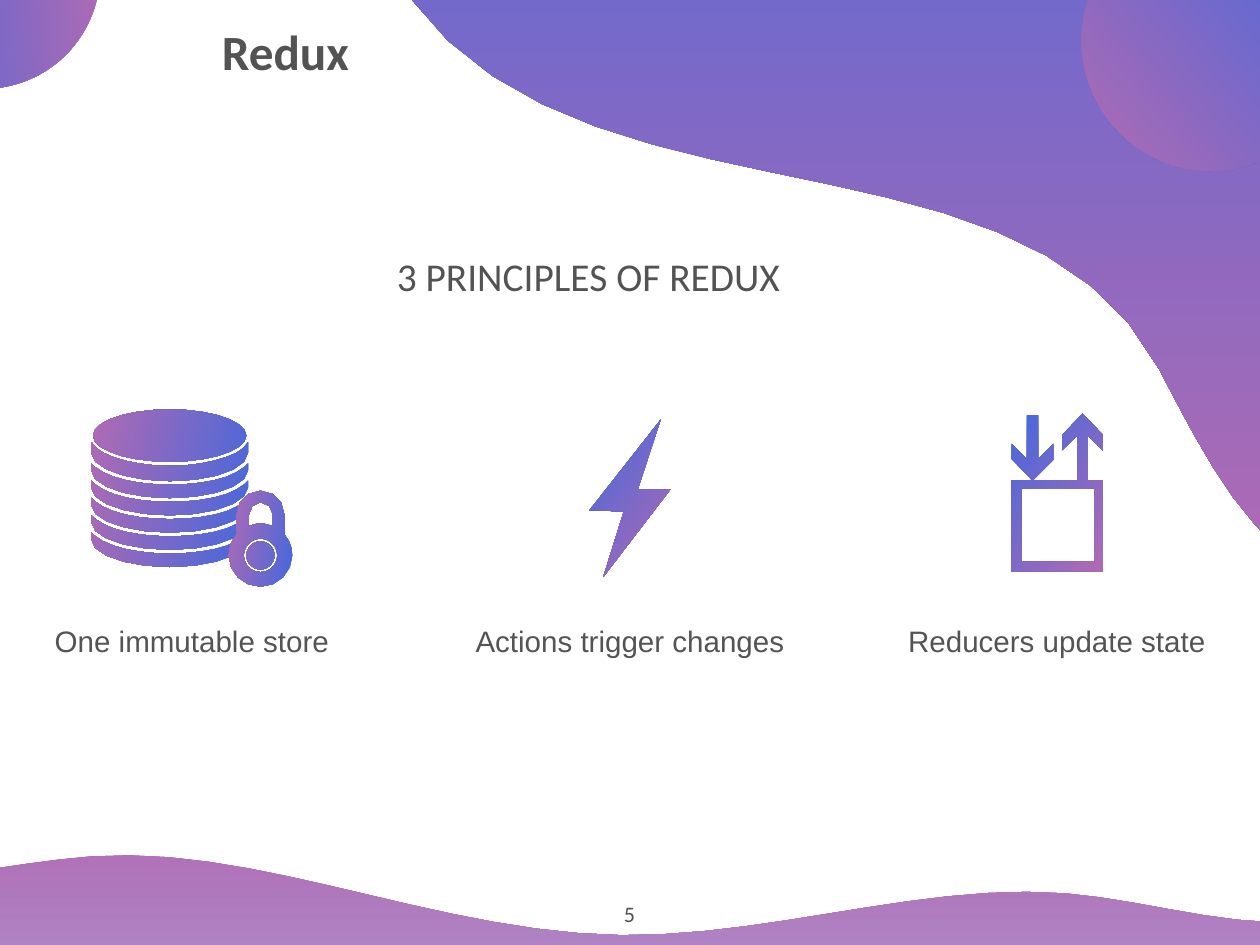
"""Build the slide on the three principles of Redux."""
from dataclasses import dataclass
from math import cos, dist, sin, sqrt, tau

from pptx import Presentation
from pptx.dml.color import RGBColor
from pptx.enum.shapes import MSO_SHAPE
from pptx.enum.text import MSO_ANCHOR, MSO_AUTO_SIZE, PP_ALIGN
from pptx.util import Pt

COLORS = {"blue": "4568DC", "purple": "B06AB3", "pale": "ACB6E5",
          "heading": "535353", "caption": "545454"}
MOST_STEPS = 16
RING_CORNERS = 28
INSET = 4.5

Point = tuple[float, float]
Contour = list[Point]


@dataclass(frozen=True)
class Gradient:
    """A two-colour linear gradient with a clockwise angle."""
    angle: float
    start: str = "blue"
    end: str = "purple"


@dataclass(frozen=True)
class Outline:
    """A filled figure made of closed contours."""
    contours: list[Contour]
    gradient: Gradient


@dataclass(frozen=True)
class Disc:
    """A decorative ellipse at a corner of the slide."""
    left: float
    top: float
    width: float
    height: float
    gradient: Gradient


@dataclass(frozen=True)
class Label:
    """A text box with its place and format."""
    text: str
    left: float
    top: float
    width: float
    height: float
    size: float = 24
    font: str = "Arial"
    color: str = "caption"
    align: PP_ALIGN = PP_ALIGN.LEFT
    anchor: MSO_ANCHOR = MSO_ANCHOR.MIDDLE
    spacing: float | Pt | None = None


def bezier(start: Point, first: Point, second: Point, end: Point) -> Contour:
    """Return points along a cubic curve, more of them on a longer one."""
    steps = min(MOST_STEPS, max(1, round(0.6 * sqrt(dist(start, end)))))
    corners = (start, first, second, end)
    points = []
    for step in range(1, steps + 1):
        t = step / steps
        weights = ((1 - t) ** 3, 3 * t * (1 - t) ** 2, 3 * t * t * (1 - t), t ** 3)
        points.append(tuple(sum(weight * corner[axis] for weight, corner in zip(weights, corners))
                            for axis in (0, 1)))
    return points


def trace(drawing: str, shift: float = 0) -> Contour:
    """Turn 'x,y' corners and 'C' curves into one contour, moved down by shift."""
    tokens = drawing.split()
    contour: Contour = []
    position = 0

    def read(index: int) -> Point:
        x, y = tokens[index].split(",")
        return float(x), float(y) + shift

    while position < len(tokens):
        if tokens[position] == "C":
            controls = [read(position + offset) for offset in (1, 2, 3)]
            contour += bezier(contour[-1], *controls)
            position += 4
        else:
            contour.append(read(position))
            position += 1
    return contour


def ring(x: float, y: float, radius_x: float, radius_y: float) -> Contour:
    """Return the contour of an ellipse around a centre."""
    angles = [tau * corner / RING_CORNERS for corner in range(RING_CORNERS)]
    return [(x + radius_x * cos(angle), y + radius_y * sin(angle)) for angle in angles]


TOP_WAVE = """1467,81 C 1577,204 1567,361 1467,359 C 1445,359 1428,347 1410,337
C 1352,305 1287,280 1222,294 C 1174,305 1133,342 1141,387 C 1145,409 1163,428 1156,450
C 1150,467 1131,474 1113,474 C 1029,474 983,378 942,300 C 826,79 427,209 307,-46
C 84,-522 1004,-439 1467,81"""
BOTTOM_WAVE = """74,696 C 210,686 354,758 505,760 C 629,761 750,717 866,726
C 950,733 1035,768 1114,737 C 1117,736 1120,734 1123,734 C 1179,724 1166,844 1081,858
C 868,895 647,782 441,861 C 366,889 297,942 218,925 C 198,921 180,912 161,904
C 102,878 37,860 -27,861 C -310,864 -673,1140 -775,861 C -867,608 -495,644 -166,711
C -87,727 -6,702 74,696"""
FIRST_BAND = """74.2,359.3 74.2,368 C 74.2,380.3 103,391 138,391 C 173.5,391 201.6,381 201.6,368
201.6,359.3 C 198.7,364.3 193,368.6 183.6,371.5 C 171.4,375.8 155.5,378.7 138,378.7
C 121,378.7 104.4,375.8 92.2,371.5 C 83.5,368.6 77,364.3 74.2,359.3"""
LOWER_BAND = """74.2,376.6 74.2,382.3 C 74.2,394.6 103,404.8 138,404.8
C 173.5,404.8 201.6,394.6 201.6,382.3 201.6,376.6 198.7,379.4
C 195.1,382.3 190.1,385.2 184.3,387.4 C 172,391.7 155.5,393.9 138,393.9
C 121,393.9 104.4,391.7 92.2,387.4 C 85.7,385.2 80.6,382.3 77,379.4"""
LOCK_BODY = """211.7,398.9 C 200.9,398.9 192.2,407.5 192.2,418.3 192.2,434.2
C 188.6,439.2 185.8,445 185.8,451.4 C 185.8,465.1 197.3,476.8 211.7,476.8
C 226.1,476.8 237.6,465.1 237.6,451.4 C 237.6,445 235.4,439.2 231.1,434.2 231.1,418.3
C 231.1,407.5 222.5,398.9 211.7,398.9"""
LOCK_HOLE = """211.7,408.2 C 217.4,408.2 221.8,413 221.8,418.3 221.8,427.7
C 218.2,426.2 215.3,425.5 211.7,425.5 C 208.1,425.5 205.2,426.2 202.3,427.7 202.3,418.3
C 202.3,413 206.6,408.2 211.7,408.2"""
BOLT = "537,341 478.8,415 507,415.5 490.3,468.9 545,397.5 518.4,397.5"
REDUCER = """879.8,336.2 863.3,353.5 863.3,365.8 875.5,354.2 875.5,390.2 839.5,390.2 856,373.7
856,360.7 843.8,373 843.8,337.7 834.5,337.7 834.5,373 822.2,360.7 822.2,373 838.8,390.2
822.2,390.2 822.2,464.4 896.4,464.4 896.4,390.2 884.2,390.2 884.2,354.2 896.4,366.5 896.4,353.5"""
REDUCER_HOLE = "830.2,397.4 889.2,397.4 889.2,456.5 830.2,456.5"

STORE = [ring(138, 354, 62.3, 21.3), trace(FIRST_BAND)]
STORE += [trace(LOWER_BAND, 14 * level) for level in range(5)]
LOCK = [trace(LOCK_BODY), trace(LOCK_HOLE)]
LOCK += [ring(211.7, 451.4, radius, radius) for radius in (13.6, 11.4)]

WAVES = [Outline([trace(BOTTOM_WAVE)], Gradient(90, "purple", "pale")),
         Outline([trace(TOP_WAVE)], Gradient(90))]
DISCS = [Disc(879, -73.5, 210, 212.5, Gradient(140)),
         Disc(-107, -118, 188.5, 190, Gradient(175, "purple", "blue"))]
ICONS = [Outline(STORE, Gradient(191)), Outline(LOCK, Gradient(191)),
         Outline([trace(BOLT)], Gradient(36)),
         Outline([trace(REDUCER), trace(REDUCER_HOLE)], Gradient(36))]
LABELS = [Label(text, left, 497.5, width, 35.5, spacing=Pt(39)) for text, left, width in (
    ("One immutable store", 40, 232), ("Actions trigger changes", 382, 260),
    ("Reducers update state", 733.5, 250.5))]
LABELS += [Label("3 PRINCIPLES OF REDUX", 318, 201, 387, 46, 32, "Calibri", "heading"),
           Label("5", 502.5, 730, 18, 28, 18, "Calibri", "heading",
                 PP_ALIGN.CENTER, MSO_ANCHOR.BOTTOM)]


def paint(shape, gradient: Gradient) -> None:
    """Give a shape its gradient and remove its line and shadow."""
    shape.shadow.inherit = False
    shape.line.fill.background()
    shape.fill.gradient()
    shape.fill.gradient_angle = 360 - gradient.angle
    names = (gradient.start, gradient.end)
    for position, (stop, name) in enumerate(zip(shape.fill.gradient_stops, names)):
        stop.color.rgb = RGBColor.from_string(COLORS[name])
        stop.position = position


def draw_outline(slide, outline: Outline) -> None:
    """Draw a figure from its contours."""
    builder = None
    for contour in outline.contours:
        vertices = [(Pt(x), Pt(y)) for x, y in contour]
        if builder is None:
            builder = slide.shapes.build_freeform(*vertices[0], scale=1.0)
        else:
            builder.move_to(*vertices[0])
        builder.add_line_segments(vertices[1:], close=True)
    paint(builder.convert_to_shape(), outline.gradient)


def draw_disc(slide, disc: Disc) -> None:
    """Draw a corner ellipse."""
    box = map(Pt, (disc.left, disc.top, disc.width, disc.height))
    paint(slide.shapes.add_shape(MSO_SHAPE.OVAL, *box), disc.gradient)


def write_text(shape, text: str, *, size: float, font: str, color: str, align: PP_ALIGN,
               anchor: MSO_ANCHOR, spacing=None, bold: bool = False, wrap: bool = False,
               fit: MSO_AUTO_SIZE = MSO_AUTO_SIZE.SHAPE_TO_FIT_TEXT) -> None:
    """Write one formatted paragraph into a shape."""
    frame = shape.text_frame
    frame.margin_left = frame.margin_right = frame.margin_top = frame.margin_bottom = Pt(INSET)
    frame.word_wrap, frame.auto_size, frame.vertical_anchor = wrap, fit, anchor
    paragraph = frame.paragraphs[0]
    paragraph.alignment, paragraph.line_spacing = align, spacing
    run = paragraph.add_run()
    run.text = text
    run.font.name, run.font.size, run.font.bold = font, Pt(size), bold
    run.font.color.rgb = RGBColor.from_string(COLORS[color])


def draw_label(slide, label: Label) -> None:
    """Add a text box."""
    box = map(Pt, (label.left, label.top, label.width, label.height))
    write_text(slide.shapes.add_textbox(*box), label.text, size=label.size, font=label.font,
               color=label.color, align=label.align, anchor=label.anchor, spacing=label.spacing)


def main() -> None:
    """Build and save the presentation."""
    presentation = Presentation()
    presentation.slide_width, presentation.slide_height = Pt(1024), Pt(768)
    slide = presentation.slides.add_slide(presentation.slide_layouts[5])
    title = slide.shapes.title
    title.left, title.top, title.width, title.height = map(Pt, (127, 18, 210, 55.5))
    write_text(title, "Redux", size=40, font="Calibri", color="heading", align=PP_ALIGN.CENTER,
               anchor=MSO_ANCHOR.TOP, spacing=0.9, bold=True, wrap=True, fit=MSO_AUTO_SIZE.NONE)
    for wave in WAVES:
        draw_outline(slide, wave)
    for disc in DISCS:
        draw_disc(slide, disc)
    for label in LABELS:
        draw_label(slide, label)
    for icon in ICONS:
        draw_outline(slide, icon)
    presentation.save("out.pptx")


if __name__ == "__main__":
    main()
